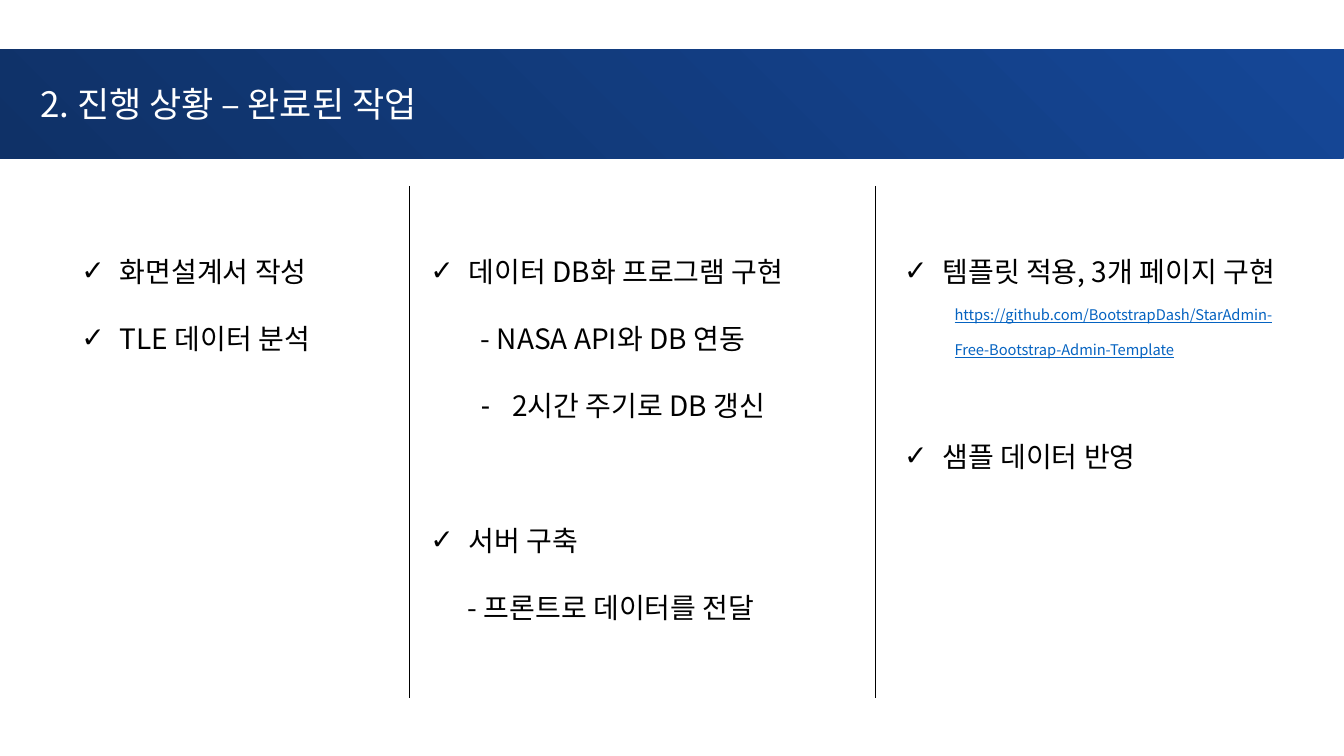
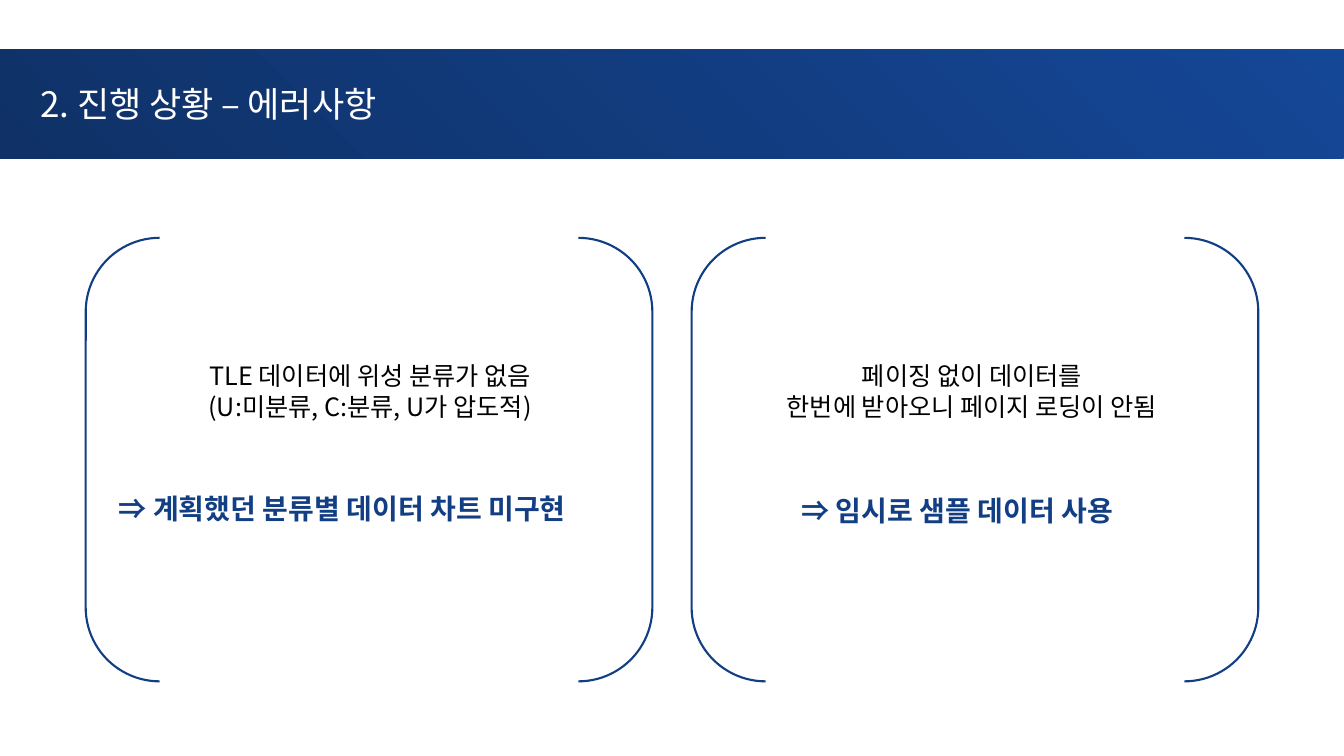
import dataclasses

import lxml.etree
import pptx
import pptx.dml.color
import pptx.enum.shapes
import pptx.enum.text
import pptx.oxml.ns
import pptx.util

Inches = pptx.util.Inches
Pt = pptx.util.Pt
qn = pptx.oxml.ns.qn
Shape = pptx.enum.shapes.MSO_SHAPE
Align = pptx.enum.text.PP_ALIGN


@dataclasses.dataclass(frozen=True)
class Theme:
    font: str = "Noto Sans CJK KR"
    bullet_font: str = "Arial"
    white: str = "FFFFFF"
    black: str = "000000"
    accent: str = "123E84"
    link: str = "0563C1"
    band: tuple = ("154797", "0F3167")
    title_size: float = 25
    item_size: float = 20
    body_size: float = 18
    link_size: float = 10.5


class Deck:
    """Build the slides of the progress report in one shared style."""

    def __init__(self, theme):
        self.theme = theme
        self.deck = pptx.Presentation()
        self.apply(self.deck, {"slide_width": Inches(13.33), "slide_height": Inches(7.5)})
        self.slide = None

    def apply(self, target, values):
        for name, value in values.items():
            setattr(target, name, value)

    def color(self, code):
        return pptx.dml.color.RGBColor.from_string(code)

    def add_slide(self, title):
        self.slide = self.deck.slides.add_slide(self.deck.slide_layouts[6])
        band = self.shape(Shape.RECTANGLE, 0, 0.49, 13.33, 1.08)
        band.line.fill.background()
        band.fill.gradient()
        band.fill.gradient_angle = 225
        for stop, code in zip(band.fill.gradient_stops, self.theme.band):
            stop.color.rgb = self.color(code)
        self.text(0.3, 0.77, 6, 0.52, [{"text": title}], self.theme.title_size, self.theme.white)

    def shape(self, kind, left, top, width, height):
        shape = self.slide.shapes.add_shape(
            kind, Inches(left), Inches(top), Inches(width), Inches(height))
        shape.shadow.inherit = False
        return shape

    def brackets(self, left, top, width, height):
        brackets = self.shape(Shape.DOUBLE_BRACKET, left, top, width, height)
        brackets.fill.background()
        brackets.line.color.rgb = self.color(self.theme.accent)
        brackets.line.width = Pt(1.5)

    def text(self, left, top, width, height, lines, size, color, bold=False, layout=None):
        box = self.slide.shapes.add_textbox(
            Inches(left), Inches(top), Inches(width), Inches(height))
        frame = box.text_frame
        frame.word_wrap = True
        for index, line in enumerate(lines):
            para = frame.add_paragraph() if index else frame.paragraphs[0]
            self.indent(para, line)
            self.apply(para, layout or {})
            if "before" in line:
                para.space_before = Pt(line["before"])
            span = para.add_run()
            span.text = line["text"]
            self.apply(span.font, {
                "name": self.theme.font,
                "size": Pt(line.get("size", size)),
                "bold": bold,
                "underline": line.get("underline", False),
            })
            span.font.color.rgb = self.color(line.get("color", color))
            lxml.etree.SubElement(
                span.font._element, qn("a:ea"), typeface=self.theme.font)

    def indent(self, para, line):
        properties = para._p.get_or_add_pPr()
        properties.set("marL", str(Inches(line.get("margin", 0))))
        properties.set("indent", str(Inches(-line.get("hang", 0))))
        if "bullet" in line:
            lxml.etree.SubElement(
                properties, qn("a:buFont"), typeface=self.theme.bullet_font)
            lxml.etree.SubElement(properties, qn("a:buChar"), char=line["bullet"])

    def checklist(self, left, width, height, lines):
        self.text(left, 2.14, width, height, lines, self.theme.item_size,
                  self.theme.black, layout={"line_spacing": 2.0})

    def divided_table(self, left, top, height, widths):
        table = self.slide.shapes.add_table(
            1, len(widths), Inches(left), Inches(top),
            Inches(sum(widths)), Inches(height)).table
        self.apply(table, {"first_row": False, "horz_banding": False})
        last = len(widths) - 1
        for index, width in enumerate(widths):
            table.columns[index].width = Inches(width)
            cell = table.cell(0, index)
            cell.fill.background()
            sides = [side for side, shown in
                     (("a:lnL", index > 0), ("a:lnR", index < last)) if shown]
            for position, side in enumerate(sides):
                self.border(cell, side, position)

    def border(self, cell, side, position):
        line = lxml.etree.Element(qn(side), w=str(Pt(1)))
        fill = lxml.etree.SubElement(line, qn("a:solidFill"))
        lxml.etree.SubElement(fill, qn("a:srgbClr"), val=self.theme.black)
        cell._tc.get_or_add_tcPr().insert(position, line)

    def issue(self, brackets_left, cause_at, cause, result_at, result):
        self.brackets(brackets_left, 2.36, 5.62, 4.4)
        self.text(*cause_at, 1.31, [{"text": line} for line in cause],
                  self.theme.body_size, self.theme.black,
                  layout={"alignment": Align.CENTER})
        self.text(*result_at, 0.77, [{"text": result}],
                  self.theme.item_size, self.theme.accent, bold=True)


def check(text, **extra):
    return {"text": text, "bullet": "✓", "margin": 0.38, "hang": 0.38, **extra}


def main():
    theme = Theme()
    report = Deck(theme)

    report.add_slide("2. 진행 상황 – 완료된 작업")
    report.divided_table(0.3, 1.85, 5.07, [3.76, 4.62, 3.92])
    report.checklist(0.71, 3.3, 2.67, [check("화면설계서 작성"), check("TLE 데이터 분석")])
    report.checklist(4.17, 4.28, 4.04, [
        check("데이터 DB화 프로그램 구현"),
        {"text": "- NASA API와 DB 연동", "margin": 0.5},
        {"text": "2시간 주기로 DB 갱신", "bullet": "-", "margin": 0.81, "hang": 0.31},
        check("서버 구축", before=48),
        {"text": "- 프론트로 데이터를 전달", "margin": 0.37},
    ])
    report.checklist(8.87, 4.17, 2.54, [
        check("템플릿 적용, 3개 페이지 구현"),
        {"text": "https://github.com/BootstrapDash/StarAdmin-Free-Bootstrap-Admin-Template",
         "margin": 0.5, "size": theme.link_size, "color": theme.link, "underline": True},
        check("샘플 데이터 반영", before=34),
    ])

    report.add_slide("2. 진행 상황 – 에러사항")
    report.issue(
        0.85, (1.81, 3.53, 3.72),
        ["TLE 데이터에 위성 분류가 없음", "(U:미분류, C:분류, U가 압도적)"],
        (1.08, 4.83, 5.18), "⇒ 계획했던 분류별 데이터 차트 미구현")
    report.issue(
        6.86, (7.42, 3.53, 4.44),
        ["페이징 없이 데이터를", "한번에 받아오니 페이지 로딩이 안됨"],
        (7.85, 4.85, 3.68), "⇒ 임시로 샘플 데이터 사용")

    report.deck.save("out.pptx")


if __name__ == "__main__":
    main()
